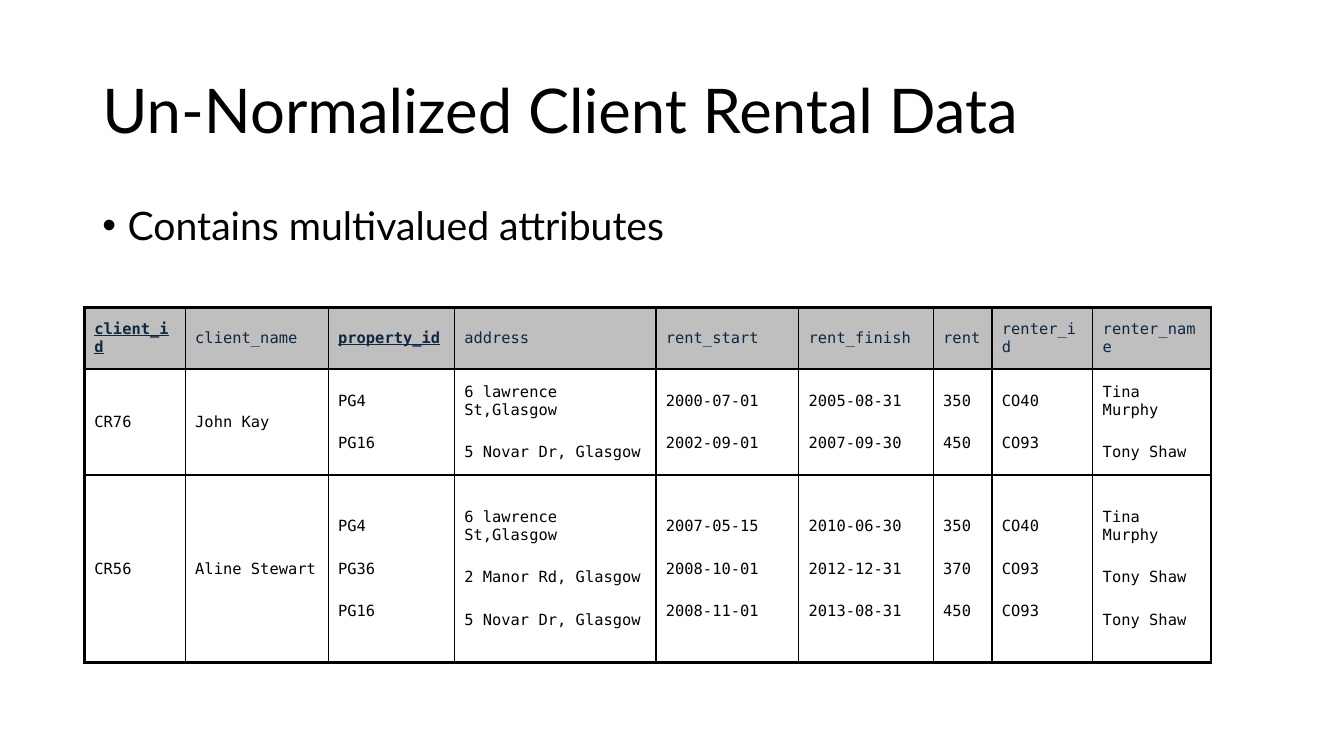
from pptx import Presentation
from pptx.dml.color import RGBColor
from pptx.enum import text
from pptx.oxml import parse_xml
from pptx.oxml.ns import nsdecls
from pptx.util import Cm, Pt

BLACK, NAVY, GREY = "000000", "0E2841", "BFBFBF"
SANS, MONO = "Lato", "DejaVu Sans Mono"
KEYS = ("client_id", "property_id")
THIN, THICK = 1, 2.25

COLUMNS = [
    ("client_id", 2.54), ("client_name", 3.6), ("property_id", 3.18),
    ("address", 5.08), ("rent_start", 3.6), ("rent_finish", 3.39),
    ("rent", 1.48), ("renter_id", 2.54), ("renter_name", 2.98),
]
ROW_HEIGHTS = [1.55, 2.67, 4.72]
# Each cell lists its values; a repeating group has several.
CLIENTS = [
    [["CR76"], ["John Kay"], ["PG4", "PG16"],
     ["6 lawrence St,Glasgow", "5 Novar Dr, Glasgow"],
     ["2000-07-01", "2002-09-01"], ["2005-08-31", "2007-09-30"],
     ["350", "450"], ["CO40", "CO93"], ["Tina Murphy", "Tony Shaw"]],
    [["CR56"], ["Aline Stewart"], ["PG4", "PG36", "PG16"],
     ["6 lawrence St,Glasgow", "2 Manor Rd, Glasgow", "5 Novar Dr, Glasgow"],
     ["2007-05-15", "2008-10-01", "2008-11-01"],
     ["2010-06-30", "2012-12-31", "2013-08-31"],
     ["350", "370", "450"], ["CO40", "CO93", "CO93"],
     ["Tina Murphy", "Tony Shaw", "Tony Shaw"]],
]


def color(value):
    return RGBColor.from_string(value)


def add_span(para, words, font, size, ink=BLACK, key=False):
    span = para.add_run()
    span.text = words
    span.font.name = font
    span.font.size = Pt(size)
    span.font.bold = span.font.underline = key
    span.font.color.rgb = color(ink)


def add_text_box(page, left, top, width, height, anchor):
    """Add a wrapping text box and return its first paragraph."""
    box = page.shapes.add_textbox(Cm(left), Cm(top), Cm(width), Cm(height))
    box.text_frame.word_wrap = True
    box.text_frame.vertical_anchor = anchor
    para = box.text_frame.paragraphs[0]
    para.line_spacing = 0.9
    return para


def add_title(page, left, top, width, height):
    para = add_text_box(page, left, top, width, height, text.MSO_ANCHOR.MIDDLE)
    add_span(para, "Un-Normalized Client Rental Data", SANS, 44)


def add_bullet(page, left, top, width, height):
    para = add_text_box(page, left, top, width, height, text.MSO_ANCHOR.TOP)
    para.space_before = Pt(10)
    properties = para._p.get_or_add_pPr()
    properties.set("marL", str(Cm(0.64)))
    properties.set("indent", str(-Cm(0.64)))
    for tag in ('a:buFont {} typeface="Arial"', 'a:buChar {} char="•"'):
        properties.append(parse_xml(f"<{tag.format(nsdecls('a'))}/>"))
    add_span(para, "Contains multivalued attributes", SANS, 28)


def set_borders(cell, **widths):
    properties = cell._tc.get_or_add_tcPr()
    for side, width in widths.items():
        properties.append(parse_xml(
            f'<a:ln{side} {nsdecls("a")} w="{Pt(width)}"><a:solidFill>'
            f'<a:srgbClr val="{BLACK}"/></a:solidFill></a:ln{side}>'))


def fill_cell(cell, values, header):
    cell.margin_top = cell.margin_bottom = 0
    cell.margin_left = cell.margin_right = Cm(0.25)
    cell.vertical_anchor = text.MSO_ANCHOR.MIDDLE
    if header:
        cell.fill.solid()
        cell.fill.fore_color.rgb = color(GREY)
    else:
        cell.fill.background()
    frame = cell.text_frame
    for index, value in enumerate(values):
        para = frame.add_paragraph() if index else frame.paragraphs[0]
        if index:
            para.space_before = Pt(17.6)
        add_span(para, value, MONO, 11, NAVY if header else BLACK,
                 header and value in KEYS)


def add_rental_table(page, left, top):
    names, widths = zip(*COLUMNS)
    rows = [[[name] for name in names]] + CLIENTS
    table = page.shapes.add_table(
        len(rows), len(names), Cm(left), Cm(top),
        Cm(sum(widths)), Cm(sum(ROW_HEIGHTS))).table
    table.first_row = table.horz_banding = False
    for column, width in zip(table.columns, widths):
        column.width = Cm(width)
    last_row, last_column = len(rows) - 1, len(names) - 1
    for r, values in enumerate(rows):
        table.rows[r].height = Cm(ROW_HEIGHTS[r])
        for c, entries in enumerate(values):
            cell = table.cell(r, c)
            set_borders(cell,
                        L=THICK if c == 0 else THIN,
                        R=THICK if c == last_column else THIN,
                        T=THICK if r == 0 else THIN,
                        B=THICK if r == last_row else THIN)
            fill_cell(cell, entries, header=r == 0)


def main():
    deck = Presentation()
    deck.slide_width, deck.slide_height = Cm(33.87), Cm(19.05)
    page = deck.slides.add_slide(deck.slide_layouts[6])
    add_title(page, 2.33, 1.01, 29.21, 3.68)
    add_bullet(page, 2.33, 5.08, 29.21, 12.09)
    add_rental_table(page, 2.13, 7.75)
    deck.save("out.pptx")


if __name__ == "__main__":
    main()
